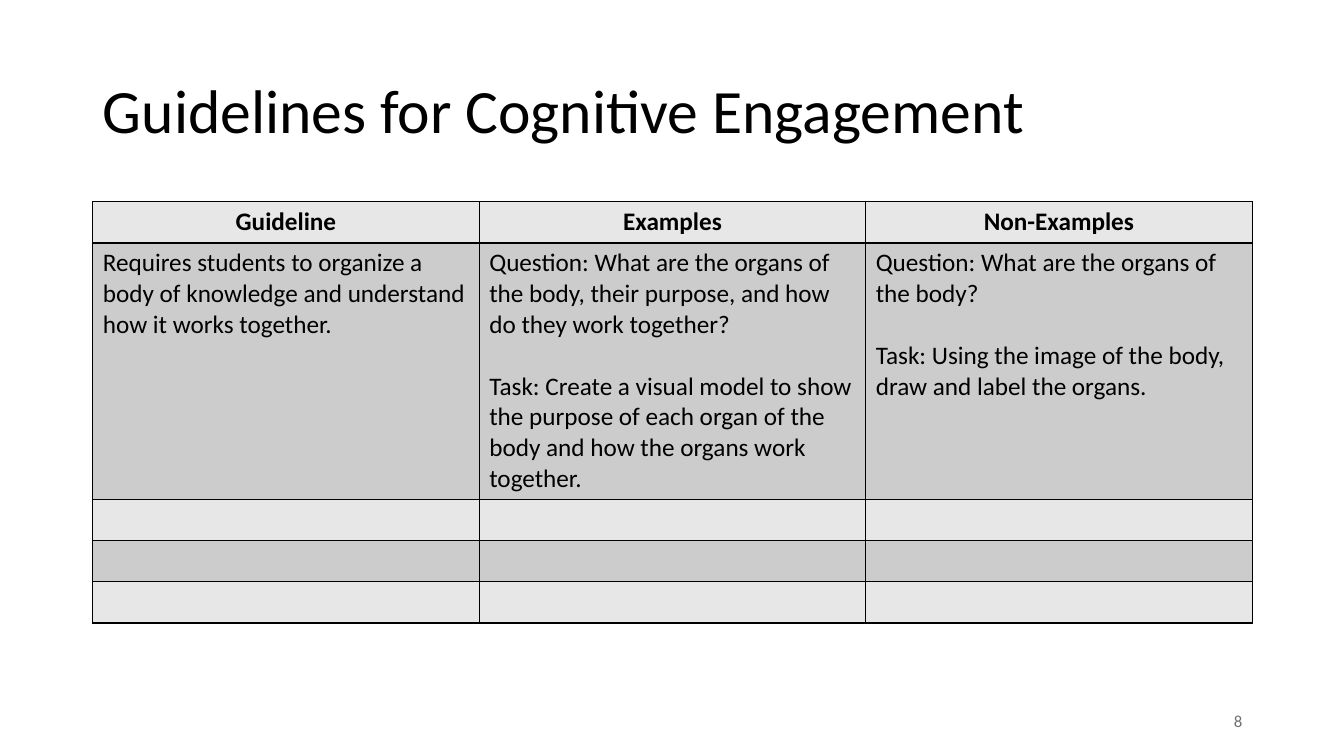
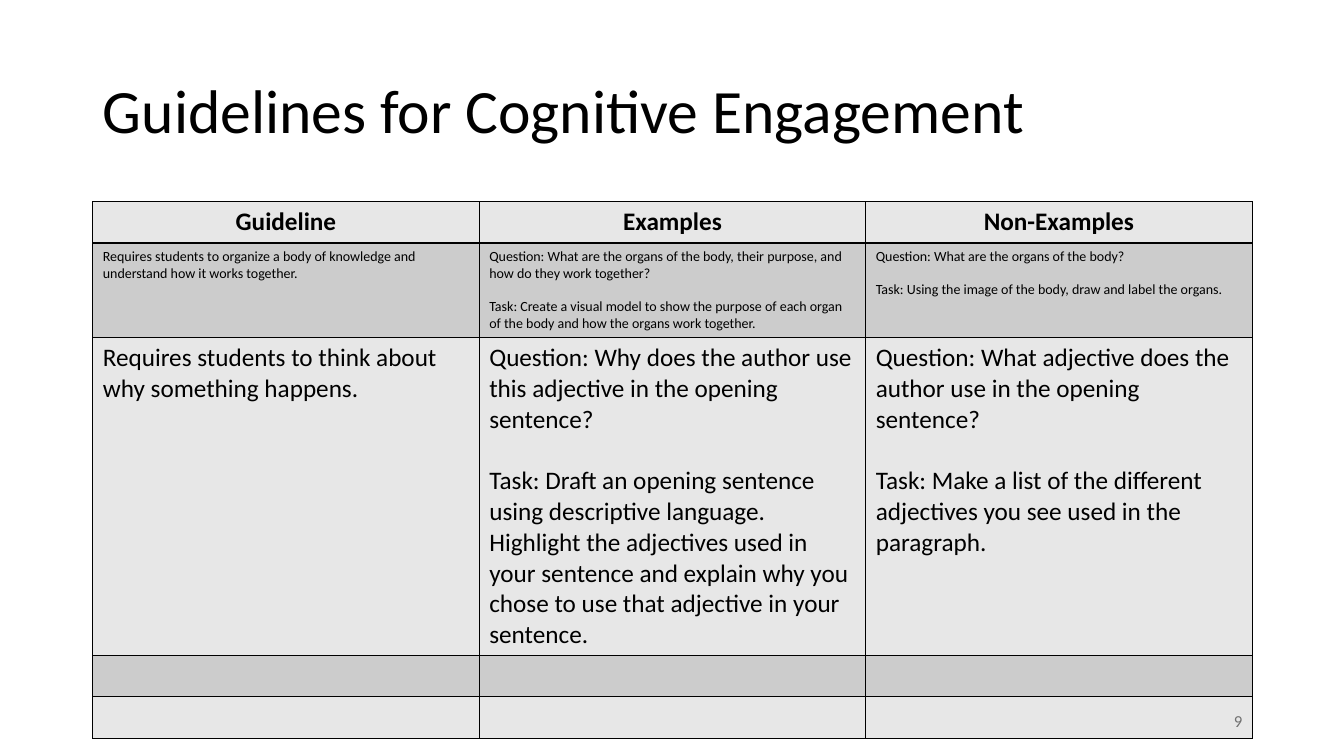
from pptx import Presentation
from pptx.dml.color import RGBColor
from pptx.enum.text import MSO_ANCHOR, MSO_AUTO_SIZE, PP_ALIGN
from pptx.oxml import parse_xml
from pptx.oxml.ns import nsdecls
from pptx.util import Pt

PX = 9144
BLACK = RGBColor(0x00, 0x00, 0x00)
GRAY = RGBColor(0x71, 0x71, 0x71)
LIGHT = RGBColor(0xE7, 0xE7, 0xE7)
DARK = RGBColor(0xCC, 0xCC, 0xCC)
FONT = "Calibri"
LEFT, CENTER, RIGHT = PP_ALIGN.LEFT, PP_ALIGN.CENTER, PP_ALIGN.RIGHT
MIDDLE = MSO_ANCHOR.MIDDLE
NO_AUTOFIT = MSO_AUTO_SIZE.NONE

TITLE = "Guidelines for Cognitive Engagement"
HEADINGS = ["Guideline", "Examples", "Non-Examples"]
ORGANIZE = [
    ["Requires students to organize a body of knowledge and understand how it works together."],
    ["Question: What are the organs of the body, their purpose, and how do they work together?",
     "Task: Create a visual model to show the purpose of each organ of the body and how the organs work together."],
    ["Question: What are the organs of the body?",
     "Task: Using the image of the body, draw and label the organs."],
]
THINK_WHY = [
    ["Requires students to think about why something happens."],
    ["Question: Why does the author use this adjective in the opening sentence?",
     "Task: Draft an opening sentence using descriptive language. Highlight the adjectives used in your sentence "
     "and explain why you chose to use that adjective in your sentence."],
    ["Question: What adjective does the author use in the opening sentence?",
     "Task: Make a list of the different adjectives you see used in the paragraph."],
]
ROW_COUNT = 5
ROW_HEIGHT = 41
TABLE_LEFT, TABLE_TOP, TABLE_WIDTH = 92, 200, 1150

SLIDES = [
    ("8", [(ORGANIZE, 18, 254)]),
    ("9", [(ORGANIZE, 10, 94), (THINK_WHY, 18, 314)]),
]


def write(frame, paragraphs, size=18, color=BLACK, bold=False, align=LEFT, spacing=1.0, gap=0):
    for index, text in enumerate(paragraphs):
        paragraph = frame.paragraphs[0] if index == 0 else frame.add_paragraph()
        paragraph.alignment = align
        paragraph.line_spacing = spacing
        if index:
            paragraph.space_before = Pt(gap)
        run = paragraph.add_run()
        run.text = text
        run.font.name = FONT
        run.font.size = Pt(size)
        run.font.bold = bold
        run.font.color.rgb = color


def style_cell(cell, color):
    properties = cell._tc.get_or_add_tcPr()
    for side in ("lnL", "lnR", "lnT", "lnB"):
        properties.append(parse_xml(
            f'<a:{side} {nsdecls("a")} w="12700"><a:solidFill>'
            f'<a:srgbClr val="{BLACK}"/></a:solidFill></a:{side}>'))
    cell.fill.solid()
    cell.fill.fore_color.rgb = color


prs = Presentation()
prs.slide_width = 1333 * PX
prs.slide_height = 750 * PX
title_only = prs.slide_layouts[5]

for number, guidelines in SLIDES:
    slide = prs.slides.add_slide(title_only)

    title = slide.shapes.title
    title.left, title.top, title.width, title.height = 92 * PX, 40 * PX, 1150 * PX, 145 * PX
    title.text_frame.auto_size = NO_AUTOFIT
    title.text_frame.vertical_anchor = MIDDLE
    write(title.text_frame, [TITLE], size=44, spacing=0.9)

    table = slide.shapes.add_table(
        ROW_COUNT, len(HEADINGS), TABLE_LEFT * PX, TABLE_TOP * PX,
        TABLE_WIDTH * PX, ROW_COUNT * ROW_HEIGHT * PX).table
    table.first_row = False
    table.horz_banding = False
    for row_index, row in enumerate(table.rows):
        row.height = ROW_HEIGHT * PX
        for cell in row.cells:
            style_cell(cell, DARK if row_index % 2 else LIGHT)

    for column, heading in enumerate(HEADINGS):
        write(table.cell(0, column).text_frame, [heading], bold=True, align=CENTER)

    for row_index, (entries, size, height) in enumerate(guidelines, start=1):
        table.rows[row_index].height = height * PX
        for column, paragraphs in enumerate(entries):
            write(table.cell(row_index, column).text_frame, paragraphs, size=size, gap=round(size * 1.22))

    page_number = slide.shapes.add_textbox(942 * PX, 695 * PX, 300 * PX, 40 * PX).text_frame
    page_number.word_wrap = True
    page_number.vertical_anchor = MIDDLE
    write(page_number, [number], size=12, color=GRAY, align=RIGHT)

prs.save("out.pptx")
